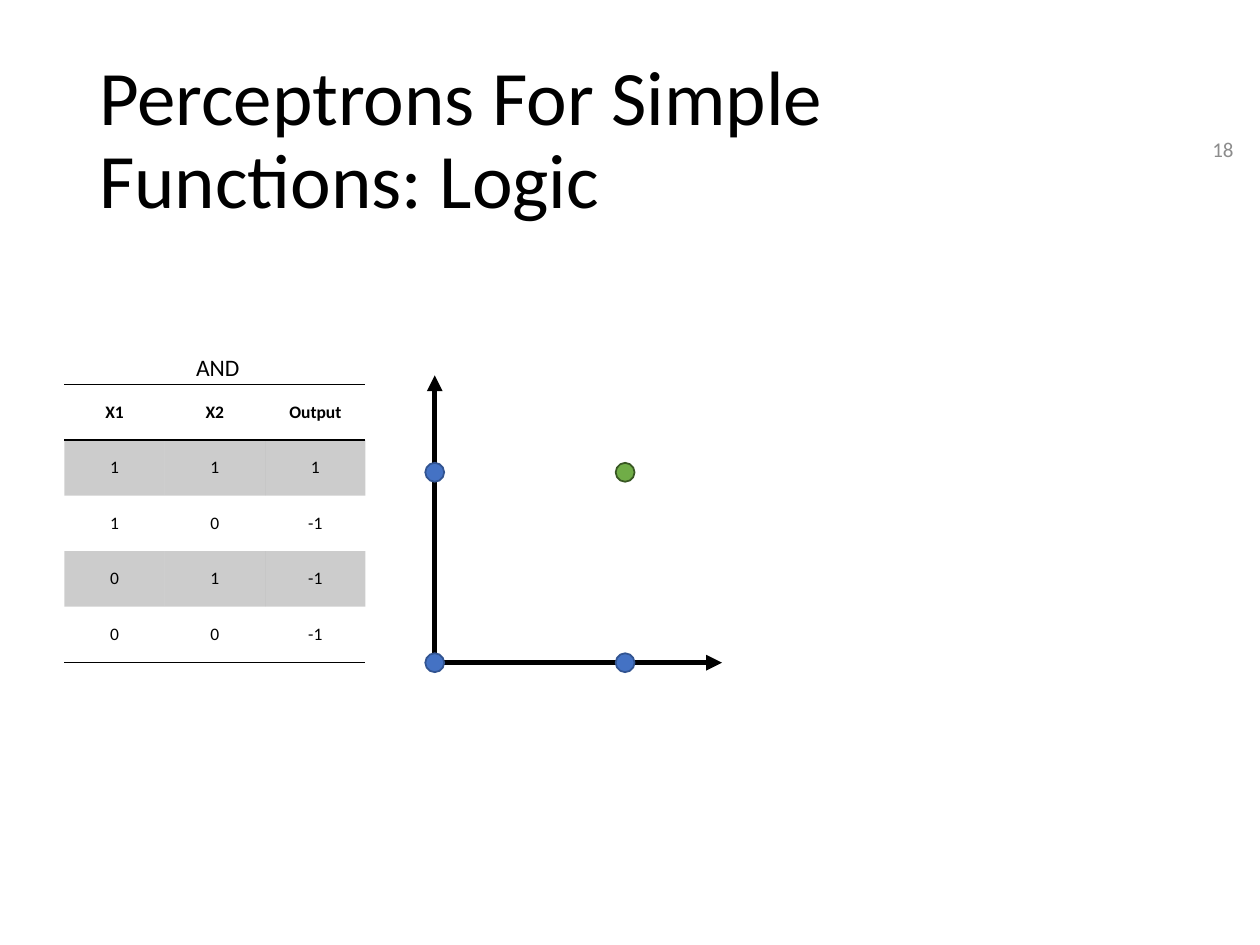
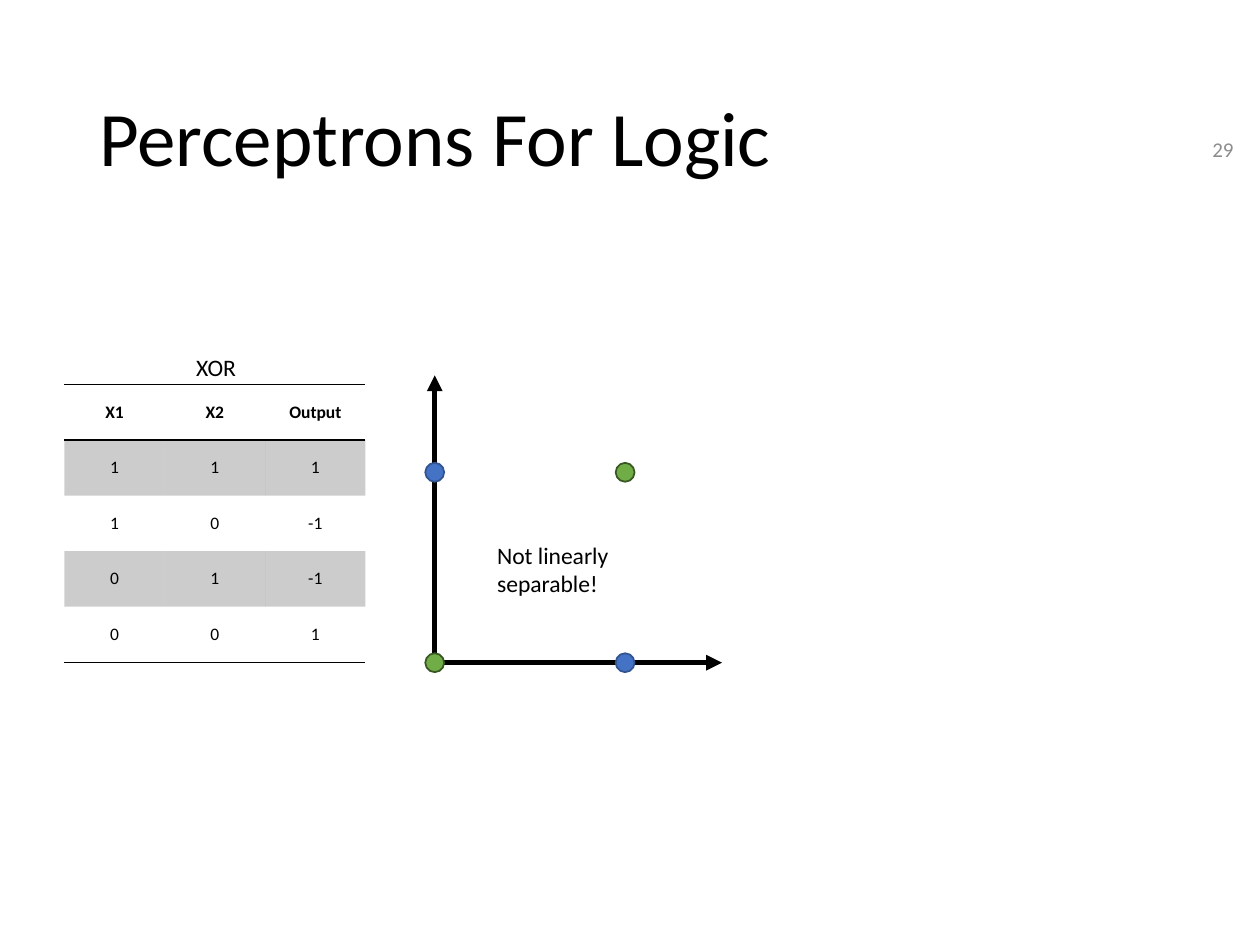
from dataclasses import dataclass

from pptx import Presentation
from pptx.dml.color import RGBColor
from pptx.enum.shapes import MSO_CONNECTOR, MSO_SHAPE
from pptx.enum.text import MSO_ANCHOR, MSO_AUTO_SIZE, PP_ALIGN
from pptx.oxml.ns import qn
from pptx.util import Pt
from lxml.etree import SubElement


@dataclass(frozen=True)
class Theme:
    font: str = "Calibri"
    ink: str = "000000"
    muted: str = "8C8C8C"
    negative: tuple = ("4472C4", "325491")  # fill, outline
    positive: tuple = ("70AD47", "385723")
    band_alpha: int = 20000
    title_size: float = 44
    number_size: float = 12
    label_size: float = 13.5
    cell_size: float = 10
    axis_width: float = 3
    rule_width: float = 1


THEME = Theme()
NO_STYLE = "{2D5ABB26-0587-4C30-8999-92F81FD0307C}"
HEADINGS = ("X1", "X2", "Output")
INPUTS = ((1, 1), (1, 0), (0, 1), (0, 0))

# Plot geometry in points
ORIGIN_X, ORIGIN_Y = 248.4, 378.7
UNIT, AXIS_LENGTH, DOT = 108.8, 164.2, 10.8


def rgb(color):
    return RGBColor.from_string(color)


def style_text(tf, size, color=THEME.ink, align=PP_ALIGN.LEFT, bold=False):
    for p in tf.paragraphs:
        p.alignment = align
        for r in p.runs:
            r.font.name = THEME.font
            r.font.size = Pt(size)
            r.font.bold = bold
            r.font.color.rgb = rgb(color)


def add_title(slide, text):
    sp = slide.shapes.title
    sp.left, sp.top, sp.width, sp.height = Pt(49.5), Pt(28.75), Pt(621), Pt(104.4)
    tf = sp.text_frame
    tf.text = text
    tf.auto_size = MSO_AUTO_SIZE.NONE
    tf.vertical_anchor = MSO_ANCHOR.MIDDLE
    tf.paragraphs[0].line_spacing = 0.9
    style_text(tf, THEME.title_size)


def add_label(slide, text, left, top, width, height, size=THEME.label_size,
              anchor=MSO_ANCHOR.TOP, **text_style):
    sp = slide.shapes.add_textbox(Pt(left), Pt(top), Pt(width), Pt(height))
    tf = sp.text_frame
    tf.word_wrap = True
    tf.vertical_anchor = anchor
    tf.text = text
    style_text(tf, size, **text_style)


def add_rule(cell, side):
    """Draw a border on one side of a cell; call before setting its fill."""
    ln = SubElement(cell._tc.get_or_add_tcPr(), qn(f"a:{side}"),
                    w=str(Pt(THEME.rule_width)))
    fill = SubElement(ln, qn("a:solidFill"))
    SubElement(fill, qn("a:srgbClr"), val=THEME.ink)


def fill_band(cell):
    cell.fill.solid()
    cell.fill.fore_color.rgb = rgb(THEME.ink)
    color = cell._tc.tcPr.find(".//" + qn("a:solidFill") + "[last()]/" + qn("a:srgbClr"))
    SubElement(color, qn("a:alpha"), val=str(THEME.band_alpha))


def add_truth_table(slide, outputs):
    rows = [HEADINGS] + [(*pair, out) for pair, out in zip(INPUTS, outputs)]
    frame = slide.shapes.add_table(len(rows), len(HEADINGS),
                                   Pt(36.75), Pt(219.6), Pt(172.2), Pt(159))
    table = frame.table
    table.first_row = table.horz_banding = False
    table._tbl.tblPr.find(qn("a:tableStyleId")).text = NO_STYLE
    for i, values in enumerate(rows):
        for j, value in enumerate(values):
            cell = table.cell(i, j)
            cell.text = str(value)
            cell.vertical_anchor = MSO_ANCHOR.MIDDLE
            cell.margin_left = cell.margin_right = Pt(5.4)
            cell.margin_top = cell.margin_bottom = Pt(2.7)
            style_text(cell.text_frame, THEME.cell_size,
                       align=PP_ALIGN.CENTER, bold=i == 0)
            if i == 0:
                add_rule(cell, "lnT")
            if i in (0, len(rows) - 1):
                add_rule(cell, "lnB")
            if i % 2:
                fill_band(cell)
            else:
                cell.fill.background()


def add_axis(group, end_x, end_y):
    line = group.shapes.add_connector(MSO_CONNECTOR.STRAIGHT, Pt(ORIGIN_X),
                                      Pt(ORIGIN_Y), Pt(end_x), Pt(end_y))
    line.line.color.rgb = rgb(THEME.ink)
    line.line.width = Pt(THEME.axis_width)
    SubElement(line.line._get_or_add_ln(), qn("a:tailEnd"), type="triangle")
    SubElement(line._element.spPr, qn("a:effectLst"))


def add_point(group, x1, x2, output):
    fill, outline = THEME.positive if output == 1 else THEME.negative
    sp = group.shapes.add_shape(MSO_SHAPE.OVAL,
                                Pt(ORIGIN_X + x1 * UNIT - DOT / 2),
                                Pt(ORIGIN_Y - x2 * UNIT - DOT / 2),
                                Pt(DOT), Pt(DOT))
    sp.shadow.inherit = False
    sp.fill.solid()
    sp.fill.fore_color.rgb = rgb(fill)
    sp.line.color.rgb = rgb(outline)
    sp.line.width = Pt(THEME.rule_width)


def add_plot(slide, outputs):
    group = slide.shapes.add_group_shape()
    add_axis(group, ORIGIN_X + AXIS_LENGTH, ORIGIN_Y)
    add_axis(group, ORIGIN_X, ORIGIN_Y - AXIS_LENGTH)
    for (x1, x2), output in zip(INPUTS, outputs):
        add_point(group, x1, x2, output)


def add_logic_slide(prs, title, number, gate, outputs):
    slide = prs.slides.add_slide(prs.slide_layouts[5])
    add_title(slide, title)
    add_label(slide, number, 550, 74.2, 162, 21.6, size=THEME.number_size,
              anchor=MSO_ANCHOR.MIDDLE, color=THEME.muted, align=PP_ALIGN.RIGHT)
    add_truth_table(slide, outputs)
    add_label(slide, gate, 105, 198, 93.6, 23.6)
    add_plot(slide, outputs)
    return slide


def main():
    prs = Presentation()
    prs.slide_width, prs.slide_height = Pt(720), Pt(540)

    # AND: one line separates the classes
    add_logic_slide(prs, "Perceptrons For Simple Functions: Logic", "18",
                    "AND", (1, -1, -1, -1))

    # XOR: no single line does
    slide = add_logic_slide(prs, "Perceptrons For Logic", "29",
                            "XOR", (1, -1, -1, 1))
    add_label(slide, "Not linearly separable!", 277, 305.5, 123, 40.3)

    prs.save("out.pptx")


if __name__ == "__main__":
    main()
